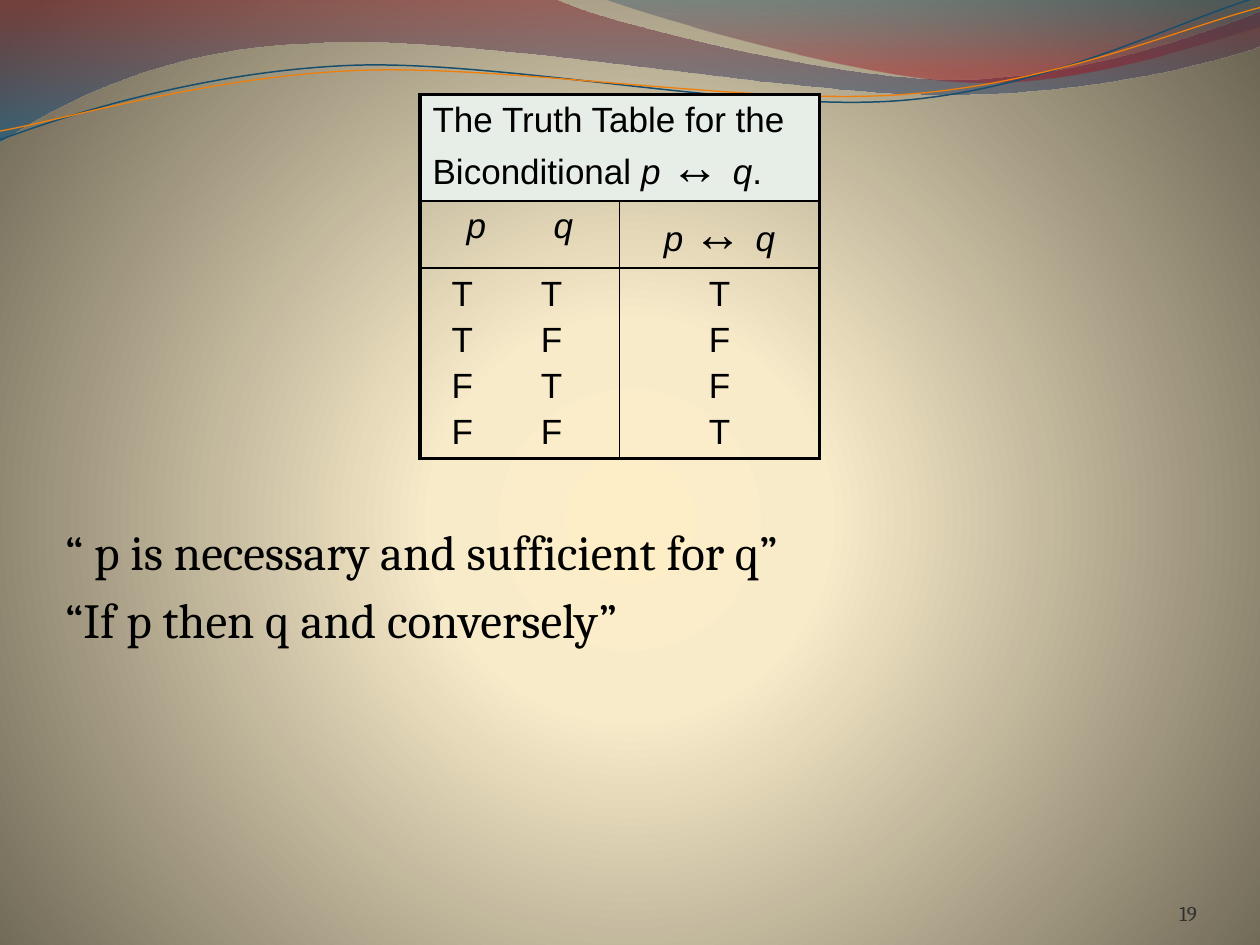
import pptx
import pptx.util
import pptx.dml.color
import pptx.enum.text
import pptx.oxml
import pptx.oxml.ns

Inches, Pt = pptx.util.Inches, pptx.util.Pt
Align = pptx.enum.text.PP_ALIGN
qn = pptx.oxml.ns.qn
NS = pptx.oxml.ns.nsdecls("a", "p")
HUES = {
    "ink": "000000", "number": "303030", "head": "E7EDE7",
    "cream": "FEEEC7", "sand": "F8EBCA", "olive": "6C6553",
    "wine": "7E1621", "blue": "005689", "navy": "094467", "red": "A10F1F",
    "sea": "184E6D", "orange": "F07F09",
}


def hue(name):
    return pptx.dml.color.RGBColor.from_string(HUES[name])


def blend(stops, shade):
    """Gradient fill from (position, colour, opacity) stops."""
    marks = ""
    for at, name, clear in stops:
        alpha = f'<a:alpha val="{clear * 1000}"/>' if clear < 100 else ""
        marks += (f'<a:gs pos="{at * 1000}"><a:srgbClr val="{HUES[name]}">'
                  f'{alpha}</a:srgbClr></a:gs>')
    return f'<a:gradFill {NS} rotWithShape="1"><a:gsLst>{marks}</a:gsLst>{shade}</a:gradFill>'


def backdrop(slide):
    glow = blend(
        [(0, "cream", 100), (25, "sand", 100), (100, "olive", 100)],
        '<a:path path="circle"><a:fillToRect l="10000" t="110000" r="10000" b="100000"/></a:path>')
    slide.element.cSld.insert(0, pptx.oxml.parse_xml(
        f"<p:bg {NS}><p:bgPr>{glow}<a:effectLst/></p:bgPr></p:bg>"))


def trace(slide, start, parts, close):
    """Outline of lines (x, y) and Bezier curves (x1, y1, x2, y2, x, y)."""
    spots = [(Inches(part[k]), Inches(part[k + 1]))
             for part in parts for k in range(0, len(part), 2)]
    path = slide.shapes.build_freeform(Inches(start[0]), Inches(start[1]))
    path.add_line_segments(spots, close=close)
    shape = path.convert_to_shape()
    shape.shadow.inherit = False

    # Join each run of three points into one curve
    lines = iter(list(shape.element.iter(qn("a:lnTo"))))
    for part in parts:
        trio = [next(lines) for _ in range(len(part) // 2)]
        if len(trio) == 3:
            bend = pptx.oxml.parse_xml(f"<a:cubicBezTo {NS}/>")
            trio[0].addprevious(bend)
            for line in trio:
                bend.append(line[0])
                line.getparent().remove(line)
    return shape


def ribbon(slide, start, parts, stops):
    shape = trace(slide, start, parts, True)
    shape.line.fill.background()
    shape.fill.background()
    props = shape.element.spPr
    down = '<a:lin ang="5400000" scaled="1"/>'
    props.replace(props.find(qn("a:noFill")), pptx.oxml.parse_xml(blend(stops, down)))


def thread(slide, start, parts, name, width):
    shape = trace(slide, start, parts, False)
    shape.fill.background()
    shape.line.color.rgb = hue(name)
    shape.line.width = Pt(width)


def waves(slide):
    ribbon(slide, (0, 0), [
        (4.4, -0.01), (4.76, 0.17, 6.64, 0.63, 7.58, 0.63),
        (8.53, 0.63, 9.58, 0.26, 10, 0.09), (10.01, 0.36),
        (9.83, 0.44, 8.7, 0.76, 7.46, 0.75), (6.22, 0.75, 3.82, 0.28, 2.57, 0.34),
        (1.29, 0.36, 0.46, 0.83, -0.01, 1.13), (0, 0),
    ], [(0, "wine", 45), (100, "blue", 55)])
    ribbon(slide, (4.79, -0.01), [
        (5.09, 0.11, 6.82, 0.62, 7.69, 0.65), (8.56, 0.69, 9.61, 0.32, 10, 0.21),
        (10, 0), (4.79, -0.01),
    ], [(0, "navy", 30), (80, "red", 45)])
    thread(slide, (0, 1.11), [
        (0.48, 0.93, 1.58, 0.57, 2.77, 0.52), (3.95, 0.47, 5.93, 0.89, 7.13, 0.8),
        (8.33, 0.71, 9.38, 0.15, 9.98, -0.02),
    ], "sea", 0.85)
    thread(slide, (0, 1.04), [
        (0.47, 0.96, 1.64, 0.61, 2.83, 0.56), (4.03, 0.51, 5.97, 0.84, 7.17, 0.75),
        (8.36, 0.67, 9.41, 0.21, 10, 0.06),
    ], "orange", 0.75)


def style(para, size, face, name="ink", align=Align.LEFT):
    para.alignment = align
    para.font.size, para.font.name = Pt(size), face
    para.font.color.rgb = hue(name)


def frame(cell, sides):
    """Cell borders; sides maps L, R, T, B to widths in points."""
    props = cell._tc.get_or_add_tcPr()
    for spot, (side, width) in enumerate(sides.items()):
        props.insert(spot, pptx.oxml.parse_xml(
            f'<a:ln{side} {NS} w="{int(Pt(width))}"><a:solidFill>'
            f'<a:srgbClr val="{HUES["ink"]}"/></a:solidFill></a:ln{side}>'))


def formula(para, before="", after=""):
    """The biconditional, with slanted letters and a large arrow."""
    parts = [(before, False, 20), ("p ", True, 20), ("↔ ", False, 28),
             ("q", True, 20), (after, False, 20)]
    for text, slant, size in parts:
        if text:
            run = para.add_run()
            run.text = text
            run.font.italic, run.font.size = slant, Pt(size)


def pair(para, left, right, stops):
    marks = "".join(f'<a:tab pos="{int(Inches(at))}" algn="l"/>' for at in stops)
    para._p.get_or_add_pPr().append(
        pptx.oxml.parse_xml(f"<a:tabLst {NS}>{marks}</a:tabLst>"))
    para.text = f"\t{left}\t{right}"


def truth(slide, left, top, width, rows):
    table = slide.shapes.add_table(
        len(rows), 2, Inches(left), Inches(top), Inches(width), Inches(sum(rows))).table
    table.first_row = table.horz_banding = False
    for row, high in zip(table.rows, rows):
        row.height = Inches(high)
    table.cell(0, 0).merge(table.cell(0, 1))

    # Heading and column labels
    formula(table.cell(0, 0).text_frame.paragraphs[0],
            "The Truth Table for the Biconditional ", ".")
    label = table.cell(1, 0).text_frame.paragraphs[0]
    pair(label, "p", "q", (0.27, 0.96))
    label.font.italic = True
    formula(table.cell(1, 1).text_frame.paragraphs[0])

    # Truth values
    inputs, result = (table.cell(2, col).text_frame for col in (0, 1))
    for spot, (p, q) in enumerate(("TT", "TF", "FT", "FF")):
        lines = [box.add_paragraph() if spot else box.paragraphs[0]
                 for box in (inputs, result)]
        pair(lines[0], p, q, (0.15, 0.86))
        lines[1].text = "T" if p == q else "F"
        if spot:
            for line in lines:
                line.space_before = Pt(4)

    # Borders, fills and fonts
    last = len(rows) - 1
    for r in range(len(rows)):
        for c in range(2):
            cell = table.cell(r, c)
            if r == 0:
                cell.fill.solid()
                cell.fill.fore_color.rgb = hue("head")
            else:
                cell.fill.background()
            frame(cell, {"L": 1 if c and r else 2.25, "R": 2.25 if c or not r else 1,
                         "T": 1 if r else 2.25, "B": 2.25 if r == last else 1})
            for para in cell.text_frame.paragraphs:
                style(para, 20, "Arial", align=Align.CENTER if c else Align.LEFT)


def notes(slide, left, top, width, height):
    body = slide.placeholders[1]
    body.left, body.top = Inches(left), Inches(top)
    body.width, body.height = Inches(width), Inches(height)
    text = body.text_frame
    text.auto_size = pptx.enum.text.MSO_AUTO_SIZE.NONE
    text.text = "“ p is necessary and sufficient for q”\n“If p then q and conversely”"
    for spot, para in enumerate(text.paragraphs):
        props = para._p.get_or_add_pPr()
        props.set("marL", "0")
        props.set("indent", "0")
        props.append(pptx.oxml.parse_xml(f"<a:buNone {NS}/>"))
        style(para, 28, "Cambria", align=Align.JUSTIFY)
        para.space_before = Pt(5 if spot else 0)


def folio(slide, left, top, width, height):
    text = slide.shapes.add_textbox(
        Inches(left), Inches(top), Inches(width), Inches(height)).text_frame
    text.word_wrap = True
    text.margin_left = text.margin_right = text.margin_top = text.margin_bottom = 0
    text.vertical_anchor = pptx.enum.text.MSO_ANCHOR.BOTTOM
    text.text = "19"
    style(text.paragraphs[0], 12, "Cambria", "number", Align.RIGHT)


def main():
    deck = pptx.Presentation()
    wide, high = 10, 7.5
    deck.slide_width, deck.slide_height = Inches(wide), Inches(high)
    slide = deck.slides.add_slide(deck.slide_layouts[1])
    title = slide.shapes.title.element
    title.getparent().remove(title)
    backdrop(slide)
    waves(slide)
    truth(slide, wide / 3, high / 10, 3.17, (0.84, 0.53, 1.51))
    folio(slide, 8.67, 6.95, 0.83, 0.4)
    notes(slide, wide / 24, 4.09, 9, 1.14)
    deck.save("out.pptx")


if __name__ == "__main__":
    main()
